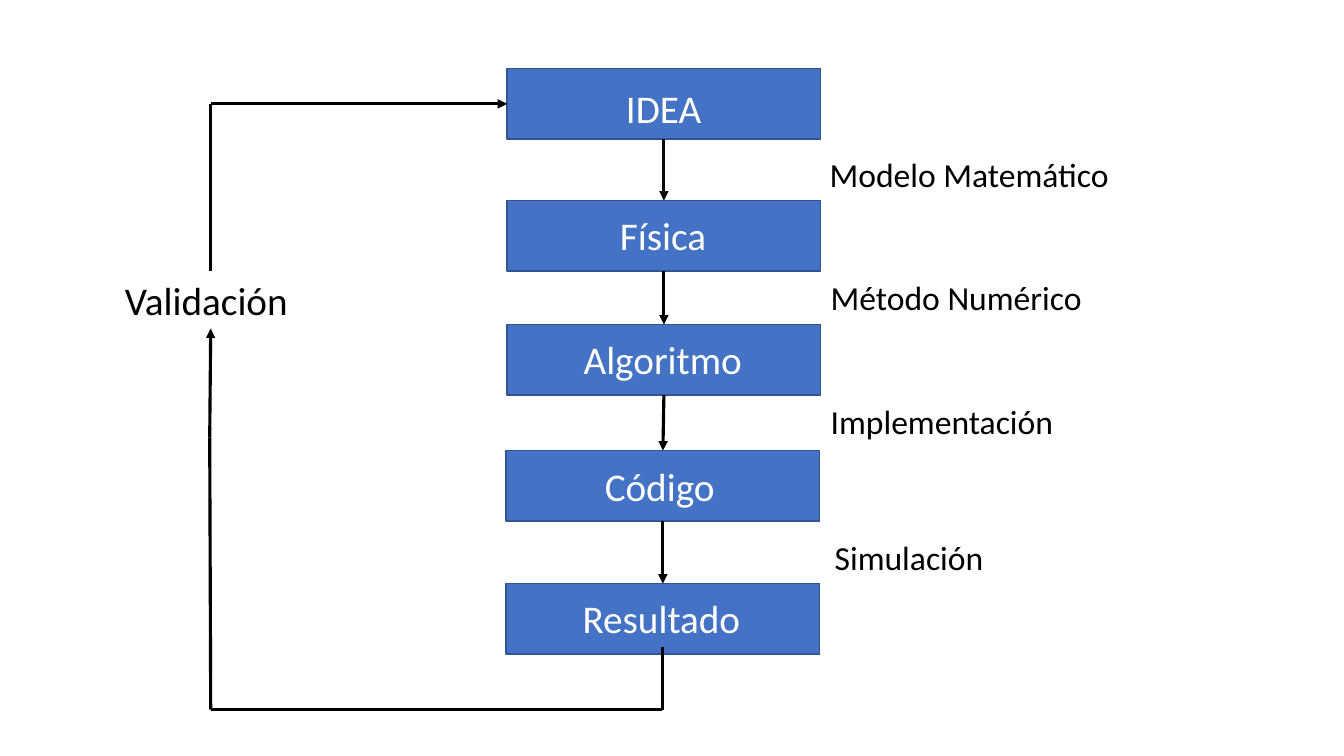
from lxml.etree import SubElement
from pptx import Presentation
from pptx.dml.color import RGBColor
from pptx.enum.shapes import MSO_CONNECTOR as Line, MSO_SHAPE as Shape
from pptx.enum.text import MSO_AUTO_SIZE as AutoSize
from pptx.oxml.ns import qn
from pptx.util import Inches, Pt

COLORS = {"step": "4472C4", "edge": "325491", "light": "FFFFFF",
          "ink": "000000", "first_arrow": "0D0D0D"}
STEP_W, STEP_H = 3.11, 0.7
TOP, LEFT, BOTTOM = 0, 1, 2

STEPS = [
    ("IDEA", 0.01, 0, (1.08, 0.11, 0.97)),
    ("Física", 0.01, 1.31, (1.02, 0.06, 1.08)),
    ("Algoritmo", 0.01, 2.54, (0.66, 0.06, 1.98)),
    ("Código", 0, 3.79, (0.88, 0.07, 1.34)),
    ("Resultado", 0, 5.11, (0.66, 0.06, 1.78)),
]
TRANSITIONS = [
    ("Modelo Matemático", 0, 0, 3.93),
    ("Método Numérico", 0.01, 1.22, 2.72),
    ("Implementación", 0.01, 2.45, 3.81),
    ("Simulación", 0.05, 3.8, 1.73),
]


def rgb(name):
    """Return the named colour."""
    return RGBColor.from_string(COLORS[name])


def add_label(shapes, text, left, top, width, size, color="ink"):
    """Add a one-line label whose height follows its text size."""
    height = 0.57 if size == 28 else 0.5
    label = shapes.add_textbox(Inches(left), Inches(top), Inches(width), Inches(height))
    frame = label.text_frame
    frame.word_wrap = True
    frame.auto_size = AutoSize.SHAPE_TO_FIT_TEXT
    run = frame.paragraphs[0].add_run()
    run.text = text
    run.font.name = "Calibri"
    run.font.size = Pt(size)
    run.font.color.rgb = rgb(color)


def add_link(shapes, start, end, arrow=True, color="ink"):
    """Draw a straight link between two points, with an optional arrowhead."""
    link = shapes.add_connector(Line.STRAIGHT, *(Inches(v) for v in (*start, *end)))
    link.line.color.rgb = rgb(color)
    link.line.width = Pt(2.25)
    if arrow:
        SubElement(link.line._get_or_add_ln(), qn("a:tailEnd"), type="triangle")
    SubElement(link._element.spPr, qn("a:effectLst"))
    return link


def add_step(shapes, text, left, top, text_box):
    """Add one step of the process and return its rectangle."""
    parts = shapes.add_group_shape().shapes
    step = parts.add_shape(Shape.RECTANGLE, Inches(left), Inches(top),
                           Inches(STEP_W), Inches(STEP_H))
    step.shadow.inherit = False
    step.fill.solid()
    step.fill.fore_color.rgb = rgb("step")
    step.line.color.rgb = rgb("edge")
    step.line.width = Pt(1)
    dx, dy, width = text_box
    add_label(parts, text, left + dx, top + dy, width, 28, "light")
    return step


def add_process(shapes, left, top):
    """Stack the steps, join them in order and return their rectangles."""
    steps = [add_step(shapes, text, left + dx, top + dy, text_box)
             for text, dx, dy, text_box in STEPS]
    for i, (upper, lower) in enumerate(zip(steps, steps[1:])):
        (_, x1, y1, _), (_, x2, y2, _) = STEPS[i:i + 2]
        middle = left + STEP_W / 2
        link = add_link(shapes, (middle + x1, top + y1 + STEP_H), (middle + x2, top + y2),
                        color="ink" if i else "first_arrow")
        link.begin_connect(upper, BOTTOM)
        link.end_connect(lower, TOP)
    return steps


def add_transitions(shapes, left, top):
    """Name what leads from each step to the next."""
    for text, dx, dy, width in TRANSITIONS:
        add_label(shapes, text, left + dx, top + dy, width, 24)


def add_validation(shapes, left, top, width, height, idea):
    """Draw the feedback loop from the result through validation to the idea."""
    right, bottom = left + width, top + height
    label_top, label_bottom, bend = top + 1.66, top + 2.23, top + 3.31
    add_link(shapes, (right, bottom - 0.62), (right, bottom), arrow=False)
    add_link(shapes, (right, bottom), (left, bottom), arrow=False)
    add_link(shapes, (left, bottom), (left - 0.01, bend), arrow=False)
    add_label(shapes, "Validación", left - 0.95, label_top, 1.91, 28)
    add_link(shapes, (left - 0.01, bend), (left, label_bottom))
    add_link(shapes, (left, top), (5.03, top)).end_connect(idea, LEFT)
    add_link(shapes, (left, label_top), (left, top), arrow=False)


def main():
    """Build the slide and save it."""
    deck = Presentation()
    deck.slide_width, deck.slide_height = Inches(13.33), Inches(7.5)
    shapes = deck.slides.add_slide(deck.slide_layouts[6]).shapes
    steps = add_process(shapes, 5.02, 0.68)
    add_validation(shapes, 2.09, 1.03, 4.48, 6.01, steps[0])
    add_transitions(shapes, 8.13, 1.48)
    deck.save("out.pptx")


if __name__ == "__main__":
    main()
